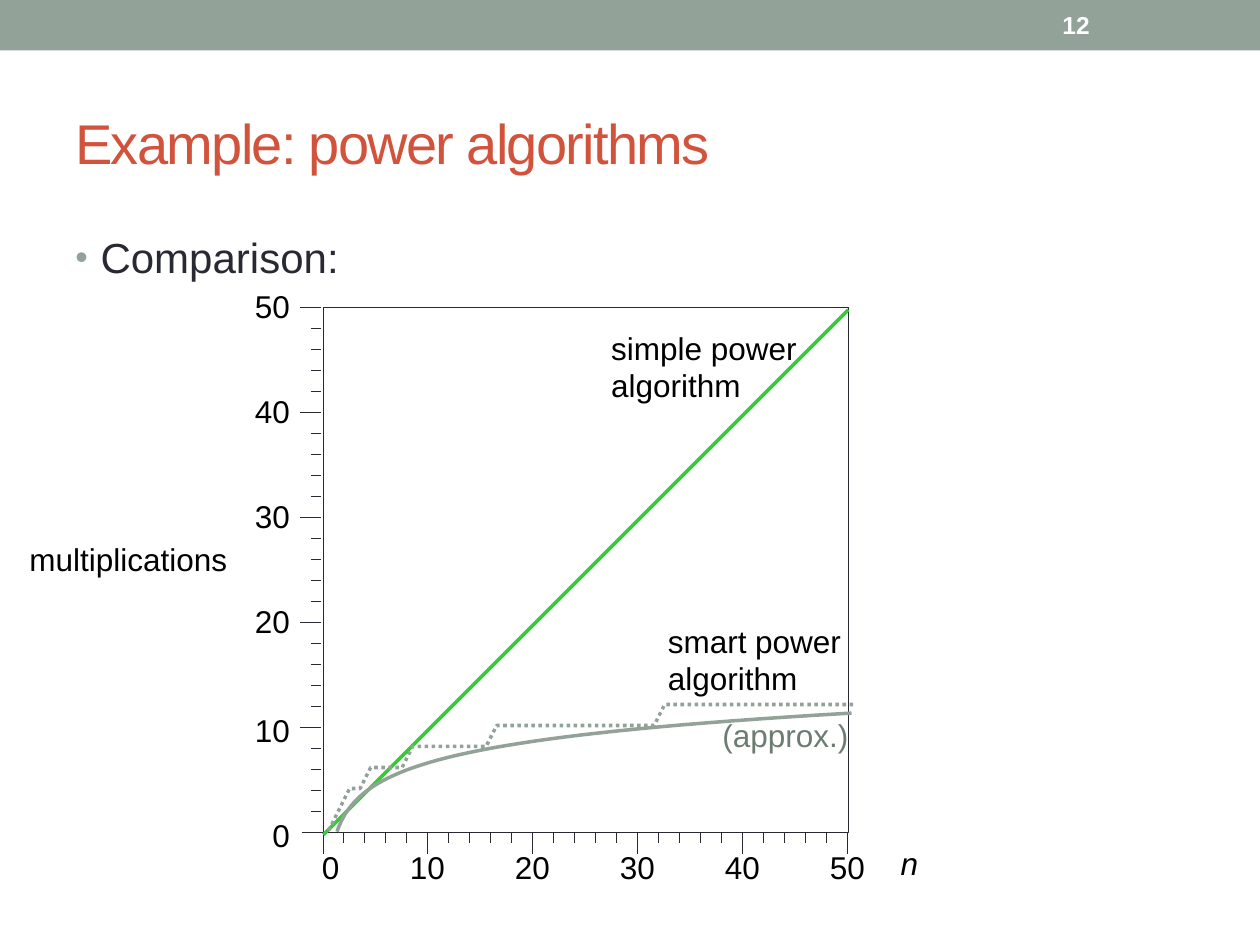
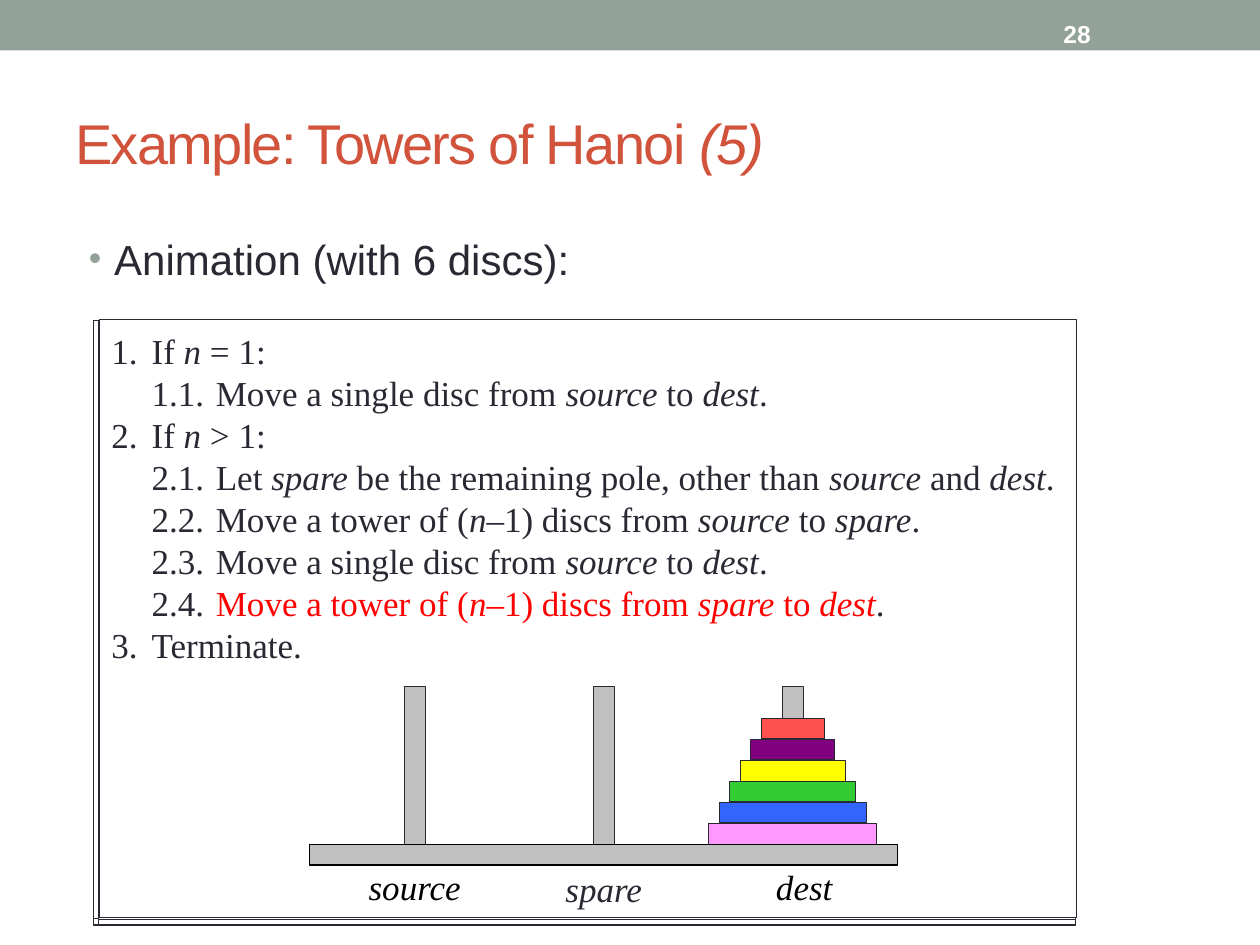
from dataclasses import dataclass
from math import log2

from lxml.etree import SubElement
from pptx import Presentation
from pptx.dml.color import RGBColor
from pptx.enum.dml import MSO_LINE
from pptx.enum.shapes import MSO_CONNECTOR, MSO_SHAPE
from pptx.enum.text import MSO_ANCHOR, PP_ALIGN
from pptx.oxml.ns import qn
from pptx.util import Emu, Inches, Pt

# Shared look
SAGE, RUST, INK = "93A299", "D2533C", "292934"
BLACK, WHITE, GREEN, RED = "000000", "FFFFFF", "33CC33", "FF0000"
SILVER, MOSS = "C0C0C0", "6B7D72"
SANS, SERIF = "Arial", "Times New Roman"

# The slide is a grid of 120 columns by 90 rows, twelve to the inch
COLUMNS, ROWS = 120, 90


@dataclass(frozen=True)
class Box:
    left: float
    top: float
    width: float
    height: float


@dataclass(frozen=True)
class Style:
    size: float
    color: str = BLACK
    font: str = SANS
    bold: bool = False
    italic: bool | None = None
    align: PP_ALIGN = PP_ALIGN.LEFT


@dataclass(frozen=True)
class Label:
    text: str
    box: Box
    style: Style


TITLE = Style(32, RUST)
BULLET = Style(24, INK)
NUMBER = Style(14, WHITE, bold=True)
NOTE = Style(18)
TICK_X = Style(18, align=PP_ALIGN.CENTER)
TICK_Y = Style(18, align=PP_ALIGN.RIGHT)
STEP = Style(20, INK, SERIF)


def cells(count: float) -> Emu:
    return Inches(count / 12)


def rgb(color: str) -> RGBColor:
    return RGBColor.from_string(color)


def place(box: Box) -> tuple[Emu, Emu, Emu, Emu]:
    return cells(box.left), cells(box.top), cells(box.width), cells(box.height)


# Text: *stars* set italics, |bars| set red
def write(paragraph, text: str, style: Style) -> None:
    paragraph.alignment = style.align
    font = paragraph.font
    font.name, font.size, font.bold = style.font, Pt(style.size), style.bold
    font.italic = style.italic
    font.color.rgb = rgb(style.color)
    for part, segment in enumerate(text.split("|")):
        for piece, words in enumerate(segment.split("*")):
            if not words:
                continue
            run = paragraph.add_run()
            run.text = words
            if piece % 2:
                run.font.italic = True
            if part % 2:
                run.font.color.rgb = rgb(RED)


def add_box(slide, box: Box, inset: bool = False, anchor=MSO_ANCHOR.TOP):
    frame = slide.shapes.add_textbox(*place(box)).text_frame
    frame.word_wrap = True
    frame.vertical_anchor = anchor
    if not inset:
        frame.margin_left = frame.margin_right = 0
        frame.margin_top = frame.margin_bottom = 0
    return frame


def add_label(slide, label: Label) -> None:
    write(add_box(slide, label.box).paragraphs[0], label.text, label.style)


# Shapes and lines
def add_rectangle(slide, box: Box, fill: str, line: str | None = INK) -> None:
    shape = slide.shapes.add_shape(MSO_SHAPE.RECTANGLE, *place(box))
    shape.shadow.inherit = False
    shape.fill.solid()
    shape.fill.fore_color.rgb = rgb(fill)
    if line:
        shape.line.color.rgb = rgb(line)
        shape.line.width = Pt(0.75)
    else:
        shape.line.fill.background()


def add_line(slide, start: tuple[float, float], end: tuple[float, float],
             color: str = INK, width: float = 0.75) -> None:
    connector = slide.shapes.add_connector(
        MSO_CONNECTOR.STRAIGHT, *(cells(value) for value in start + end))
    connector.line.color.rgb = rgb(color)
    connector.line.width = Pt(width)
    SubElement(connector._element.spPr, qn("a:effectLst"))


def add_curve(slide, points: list[tuple[float, float]], dash=None) -> None:
    corners = [(cells(x), cells(y)) for x, y in points]
    builder = slide.shapes.build_freeform(*corners[0])
    builder.add_line_segments(corners[1:], close=False)
    shape = builder.convert_to_shape()
    shape.shadow.inherit = False
    shape.fill.background()
    shape.line.color.rgb = rgb(SAGE)
    shape.line.width = Pt(2)
    if dash:
        shape.line.dash_style = dash


# Band, number, title and bullet that every slide has
def add_base(presentation, title: str, number: str, number_at: tuple[float, float],
             bullet: str, bullet_at: tuple[float, float]):
    slide = presentation.slides.add_slide(presentation.slide_layouts[6])
    add_rectangle(slide, Box(0, 0, COLUMNS, 4.8), SAGE, None)

    heading = add_box(slide, Box(6, 7, 108, 13), True, MSO_ANCHOR.MIDDLE).paragraphs[0]
    write(heading, title, TITLE)
    for run in heading.runs:
        run._r.get_or_add_rPr().set("spc", "-100")

    paragraph = add_box(slide, Box(*bullet_at, 108, 64), True).paragraphs[0]
    properties = paragraph._p.get_or_add_pPr()
    properties.set("marL", str(Inches(0.2)))
    properties.set("indent", str(-Inches(0.2)))
    SubElement(SubElement(properties, qn("a:buClr")), qn("a:srgbClr"), val=SAGE)
    SubElement(properties, qn("a:buSzPct"), val="85000")
    SubElement(properties, qn("a:buFont"), typeface=SANS)
    SubElement(properties, qn("a:buChar"), char="•")
    write(paragraph, bullet, BULLET)

    corner = add_box(slide, Box(*number_at, 14, 4.3), True, MSO_ANCHOR.MIDDLE)
    write(corner.paragraphs[0], number, NUMBER)
    return slide


# Slide 1: one grid cell is one unit on both axes
PLOT = Box(30.8, 29.3, 50, 50)
PLOT_LABELS = [
    Label("multiplications", Box(2.8, 51.4, 19.4, 3.6), NOTE),
    Label("*n*", Box(85.1, 80.4, 3, 3.6), TICK_X),
    Label("simple power algorithm", Box(58.2, 31.3, 18.6, 7.2), NOTE),
    Label("smart power algorithm", Box(63.6, 59.2, 17.2, 7.2), NOTE),
    Label("(approx.)", Box(68.8, 68.2, 12.5, 3.6), Style(18, MOSS)),
]


def on_plot(x: float, y: float) -> tuple[float, float]:
    return PLOT.left + x, PLOT.top + PLOT.height - y


def add_axes(slide) -> None:
    add_rectangle(slide, PLOT, WHITE)
    for value in range(0, 51, 2):
        major = value % 10 == 0
        length = 2 if major else 1
        gap = 0.2 if value else 0
        x, bottom = on_plot(value - gap / 2, 0)
        left, y = on_plot(-gap, value)
        add_line(slide, (x, bottom), (x, bottom + length))
        add_line(slide, (left - length, y), (left, y))
        if major:
            shift = 0 if value else 0.7
            rise = 2 if value > 10 else 1.6
            add_label(slide, Label(str(value), Box(x - 2 + shift, 80.8, 4, 3.6), TICK_X))
            add_label(slide, Label(str(value), Box(23.6, y - rise, 4, 3.6), TICK_Y))


def add_power_slide(presentation) -> None:
    slide = add_base(presentation, "Example: power algorithms", "12", (100, 0.2),
                     "Comparison:", (6, 21.5))
    add_axes(slide)
    add_line(slide, on_plot(0, -0.2), on_plot(50, 49.8), GREEN, 2)

    # The count rises by two at each power of two
    steps = [on_plot(0.5, 0.2)]
    for power in range(1, 6):
        level = 2 * power + 2.2
        end = min(2 ** (power + 1) - 0.5, 50.5)
        steps += [on_plot(2 ** power + 0.5, level), on_plot(end, level)]
    add_curve(slide, steps, MSO_LINE.ROUND_DOT)

    # Smooth estimate 2 log2 n, sampled at equal ratios
    samples = [50 ** (index / 60) for index in range(61)]
    add_curve(slide, [on_plot(n + 0.3, 2 * log2(n) + 0.1) for n in samples])

    for label in PLOT_LABELS:
        add_label(slide, label)


# Slide 2: algorithm steps above the three poles
FRAMES = [(8.9, 31.1), (8.9, 30.5), (9.4, 31.1), (9.4, 30.6), (9.5, 30.4)]
STEPS = [
    "1.\tIf *n* = 1:",
    "\t1.1.\tMove a single disc from *source* to *dest*.",
    "2.\tIf *n* > 1:",
    "\t2.1.\tLet *spare* be the remaining pole, other than *source* and *dest*.",
    "\t2.2.\tMove a tower of (*n*–1) discs from *source* to *spare*.",
    "\t2.3.\tMove a single disc from *source* to *dest*.",
    "\t2.4.\t|Move a tower of (*n*–1) discs from *spare* to *dest*|.",
    "3.\tTerminate.",
]
TAB_STOPS = (0.32, 0.83)
DISCS = ["FF99FF", "3366FF", GREEN, "FFFF00", "800080", "FF5050"]
FLOOR = 80.4
POLE_CENTERS = [39.5 + 18 * index for index in range(3)]


@dataclass(frozen=True)
class PoleName:
    text: str
    shift: float
    top: float
    color: str


POLE_NAMES = [PoleName("source", 0, 82.4, BLACK), PoleName("spare", 0, 82.6, INK),
              PoleName("dest", 1.1, 82.4, BLACK)]


def add_steps(slide) -> None:
    frame = add_box(slide, Box(10.6, 31.4, 91, 32))
    for index, step in enumerate(STEPS):
        paragraph = frame.add_paragraph() if index else frame.paragraphs[0]
        paragraph.line_spacing = Pt(24)
        tabs = SubElement(paragraph._p.get_or_add_pPr(), qn("a:tabLst"))
        for stop in TAB_STOPS:
            SubElement(tabs, qn("a:tab"), pos=str(Inches(stop)), algn="l")
        write(paragraph, step, STEP)


def add_towers(slide) -> None:
    for center, name in zip(POLE_CENTERS, POLE_NAMES):
        add_rectangle(slide, Box(center - 1, FLOOR - 15, 2, 16), SILVER)
        style = Style(20, name.color, SERIF, italic=True, align=PP_ALIGN.CENTER)
        box = Box(center - 4.9 + name.shift, name.top, 9.8, 4)
        add_label(slide, Label(name.text, box, style))
    for level, color in enumerate(DISCS):
        width = 16 - 2 * level
        box = Box(POLE_CENTERS[-1] - width / 2, FLOOR - 2 * (level + 1), width, 2)
        add_rectangle(slide, box, color)
    add_rectangle(slide, Box(POLE_CENTERS[1] - 28, FLOOR, 56, 2), SILVER, BLACK)


def add_hanoi_slide(presentation) -> None:
    slide = add_base(presentation, "Example: Towers of Hanoi *(5)*", "28", (100.1, 1.1),
                     "Animation (with 6 discs):", (7.3, 21.6))
    for left, top in FRAMES:
        add_rectangle(slide, Box(left, top, 93, 57), WHITE)
    add_steps(slide)
    add_towers(slide)


def main() -> None:
    presentation = Presentation()
    presentation.slide_width, presentation.slide_height = cells(COLUMNS), cells(ROWS)
    add_power_slide(presentation)
    add_hanoi_slide(presentation)
    presentation.save("out.pptx")


if __name__ == "__main__":
    main()
